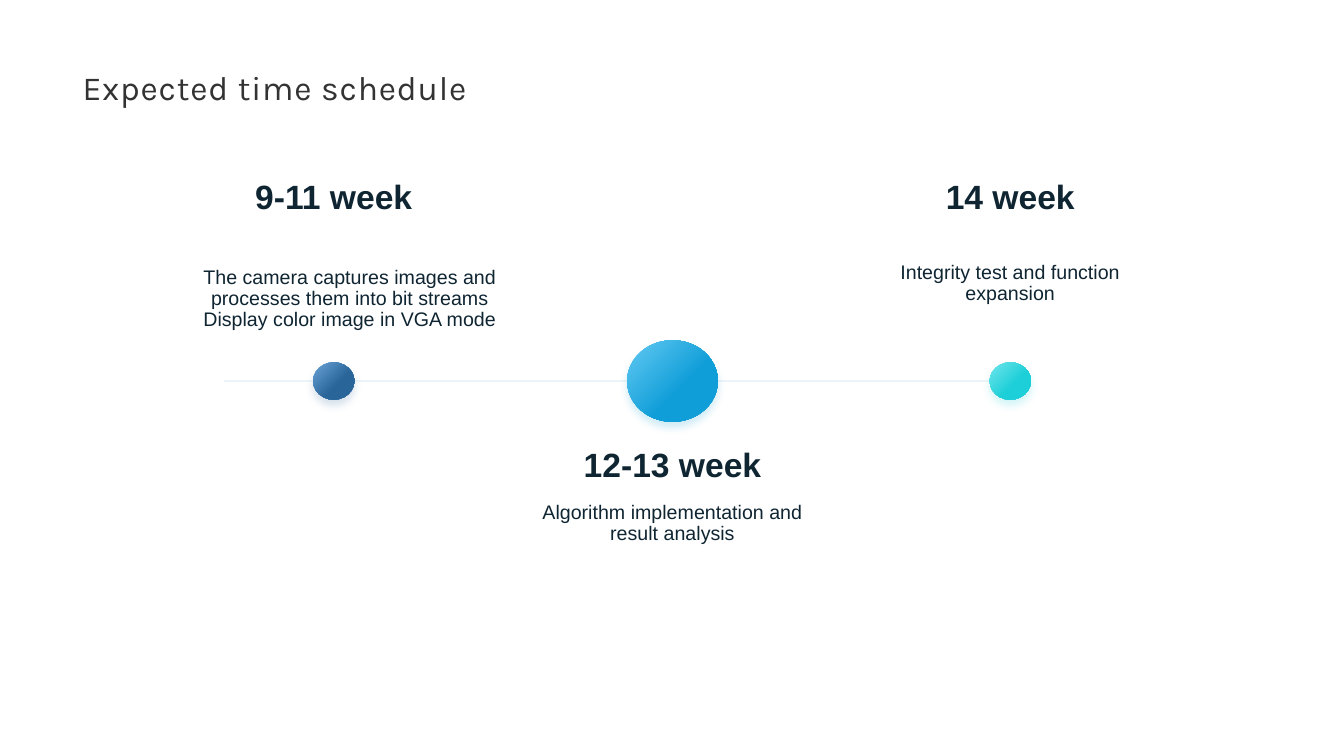
"""Build the expected time schedule slide with a three-stage timeline."""
from lxml import etree
from pptx import Presentation
from pptx.dml.color import RGBColor
from pptx.enum.shapes import MSO_CONNECTOR, MSO_SHAPE
from pptx.enum.text import MSO_ANCHOR, PP_ALIGN
from pptx.oxml import parse_xml
from pptx.oxml.ns import qn
from pptx.util import Inches, Pt

OVAL = MSO_SHAPE.OVAL
STRAIGHT = MSO_CONNECTOR.STRAIGHT
TOP, BOTTOM = MSO_ANCHOR.TOP, MSO_ANCHOR.BOTTOM
LEFT, CENTER = PP_ALIGN.LEFT, PP_ALIGN.CENTER
NS = "http://schemas.openxmlformats.org/drawingml/2006/main"
INK = "0F2532"
AXIS = 3.78


def color(code):
    return RGBColor.from_string(code)


def write(box, lines, size, font="Arial", ink=INK, bold=False,
          align=CENTER, anchor=TOP, space=None):
    area = slide.shapes.add_textbox(*[Inches(n) for n in box])
    frame = area.text_frame
    frame.word_wrap = True
    frame.vertical_anchor = anchor
    for i, line in enumerate(lines):
        para = frame.paragraphs[0] if i == 0 else frame.add_paragraph()
        para.alignment = align
        if space:
            para.line_spacing = space
        run = para.add_run()
        run.text = line
        run.font.name = font
        run.font.size = Pt(size)
        run.font.bold = bold
        run.font.color.rgb = color(ink)
    return frame


deck = Presentation()
deck.slide_width, deck.slide_height = Inches(13.33), Inches(7.5)
slide = deck.slides.add_slide(deck.slide_layouts[6])

title = write((0.72, 0, 11.88, 1.12), ["Expected time schedule"], 24, "Karla",
              "333333", align=LEFT, anchor=BOTTOM, space=0.9)
title.paragraphs[0].runs[0].font._element.set("spc", "60")

axis = slide.shapes.add_connector(
    STRAIGHT, Inches(2.22), Inches(AXIS), Inches(10.22), Inches(AXIS))
axis.line.width = Pt(0.5)
axis.line.color.rgb = color("549FCC")
tint = axis._element.spPr.find(".//" + qn("a:srgbClr"))
etree.SubElement(tint, qn("a:alpha"), val="30000")
etree.SubElement(axis._element.spPr, qn("a:effectLst"))

dots = [
    (3.31, 0.41, 0.37, "6BA4D7", "2A659A"),
    (10.02, 0.41, 0.37, "73E6EC", "1DCFD8"),
    (6.67, 0.9, 0.81, "64CAF3", "109ED8"),
]
for mid, wide, high, light, dark in dots:
    dot = slide.shapes.add_shape(
        OVAL, Inches(mid - wide / 2), Inches(AXIS - high / 2),
        Inches(wide), Inches(high))
    dot.fill.gradient()
    dot.fill.gradient_angle = 315
    for stop, code, place in zip(dot.fill.gradient_stops, (light, dark), (0, 0.6)):
        stop.color.rgb = color(code)
        stop.position = place
    dot.line.fill.background()
    dot.shadow.inherit = False
    dot._element.spPr.find(qn("a:effectLst")).append(parse_xml(
        f'<a:outerShdw xmlns:a="{NS}" blurRad="{Pt(6)}" dist="{Pt(4)}" '
        f'dir="5400000" algn="t" rotWithShape="0"><a:srgbClr val="{dark}">'
        '<a:alpha val="20000"/></a:srgbClr></a:outerShdw>'))

stages = [
    ("9-11 week", 1.71, 1.7, 1.87, 2.6, 0.73,
     ["The camera captures images and processes them into bit streams",
      "Display color image in VGA mode"]),
    ("12-13 week", 5.07, 4.35, 5.07, 4.94, 0.52,
     ["Algorithm implementation and result analysis"]),
    ("14 week", 8.42, 1.7, 8.42, 2.55, 0.52,
     ["Integrity test and function expansion"]),
]
for week, head_x, head_y, note_x, note_y, high, notes in stages:
    write((note_x, note_y, 3.2, high), notes, 14, space=Pt(15))
    write((head_x, head_y, 3.2, 0.5), [week], 24, bold=True)

deck.save("out.pptx")
